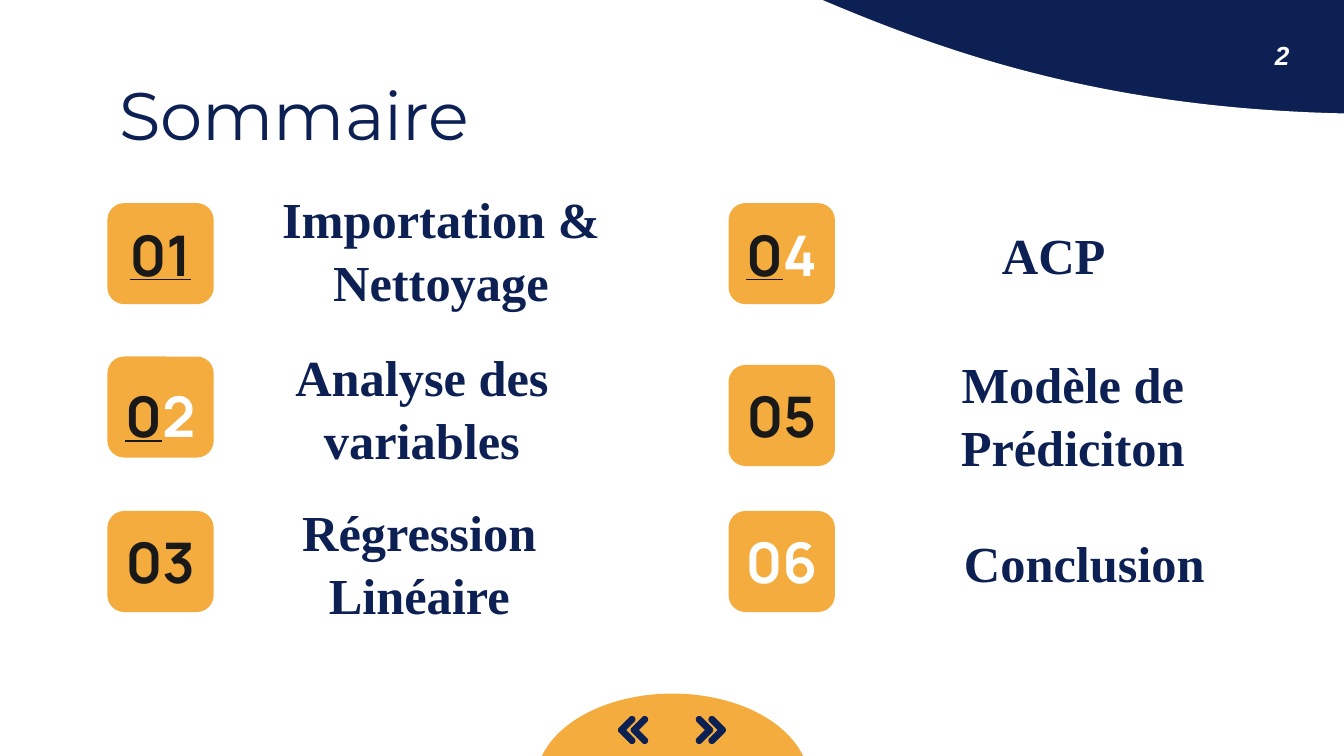
from dataclasses import dataclass
from math import cos, radians, sin

from lxml.etree import _Element as Element
from pptx import Presentation
from pptx.dml.color import RGBColor
from pptx.enum.shapes import MSO_SHAPE as Preset
from pptx.enum.text import MSO_ANCHOR as Anchor, PP_ALIGN as Align
from pptx.util import Cm, Pt

COLORS = {"navy": "0C2054", "amber": "F3AC3D", "ink": "191919", "white": "FFFFFF"}
BADGE_W, BADGE_H, BADGE_RADIUS = 2.01, 1.91, 0.167
TEXT_H, LABEL_W, NUMBER_W = 1.47, 7.47, 2.08
COLUMN_X = (2.03, 13.77)
NUMBER_Y = (4.06, 7.11, 9.88)
CHEVRON_MID_Y, CHEVRON_ARM, CHEVRON_RADIUS = 13.8, 0.2, 0.065


@dataclass(frozen=True)
class Digits:
    text: str
    color: str = "ink"
    underline: bool = False


@dataclass(frozen=True)
class Chapter:
    column: int
    row: int
    badge_y: float
    label: str
    label_x: float
    label_y: float
    number: tuple[Digits, ...]


CHAPTERS = (
    Chapter(0, 0, 3.84, "Importation & Nettoyage", 4.6, 3.96, (Digits("01", underline=True),)),
    Chapter(0, 1, 6.74, "Analyse des variables", 4.24, 6.96,
            (Digits("0", underline=True), Digits("2", "white"))),
    Chapter(0, 2, 9.66, "Régression Linéaire", 4.19, 9.88, (Digits("03"),)),
    Chapter(1, 0, 3.84, "ACP", 16.18, 4.06,
            (Digits("0", underline=True), Digits("4", "white"))),
    Chapter(1, 1, 6.9, "Modèle de Prédiciton", 16.54, 7.09, (Digits("05"),)),
    Chapter(1, 2, 9.66, "Conclusion", 16.76, 9.88, (Digits("06", "white"),)),
)


def rgb(name: str) -> RGBColor:
    return RGBColor.from_string(COLORS[name])


def paint(shape, color: str) -> None:
    shape.shadow.inherit = False
    shape.fill.solid()
    shape.fill.fore_color.rgb = rgb(color)
    shape.line.fill.background()


def add_preset(slide, preset, x: float, y: float, w: float, h: float, color: str,
               adjustments: tuple[float, ...] = (), upside_down: bool = False):
    shape = slide.shapes.add_shape(preset, Cm(x), Cm(y), Cm(w), Cm(h))
    paint(shape, color)
    for index, value in enumerate(adjustments):
        shape.adjustments[index] = value
    if upside_down:
        shape.rotation = 180
        transform: Element = shape.element.spPr.xfrm
        transform.set("flipH", "1")
    return shape


def add_text(slide, text: str | tuple[Digits, ...], *, x: float, y: float, w: float,
             h: float = TEXT_H, font: str, size: float, color: str = "navy",
             bold: bool = False, italic: bool = False, align=Align.CENTER,
             anchor=Anchor.MIDDLE, inset_y: float = 0.25, spacing: float = 1.0) -> None:
    frame = slide.shapes.add_textbox(Cm(x), Cm(y), Cm(w), Cm(h)).text_frame
    frame.word_wrap = True
    frame.vertical_anchor = anchor
    frame.margin_left = frame.margin_right = Cm(0.25)
    frame.margin_top = frame.margin_bottom = Cm(inset_y)
    paragraph = frame.paragraphs[0]
    paragraph.alignment = align
    paragraph.line_spacing = spacing
    for part in (Digits(text, color),) if isinstance(text, str) else text:
        run = paragraph.add_run()
        run.text = part.text
        run.font.name = font
        run.font.size = Pt(size)
        run.font.bold = bold
        run.font.italic = italic
        run.font.underline = part.underline
        run.font.color.rgb = rgb(part.color)


def add_chapter(slide, chapter: Chapter) -> None:
    x = COLUMN_X[chapter.column]
    add_preset(slide, Preset.ROUNDED_RECTANGLE, x, chapter.badge_y, BADGE_W, BADGE_H,
               "amber", (BADGE_RADIUS,))
    add_text(slide, chapter.number, x=x - 0.04, y=NUMBER_Y[chapter.row], w=NUMBER_W,
             font="Manrope", size=30, bold=True)
    add_text(slide, chapter.label, x=chapter.label_x, y=chapter.label_y, w=LABEL_W,
             font="Times New Roman", size=27, bold=True, spacing=1.04)


def add_chevron(slide, tip_x: float, direction: int) -> None:
    def arc(back: float, drop: float, start: int, end: int) -> list[tuple[float, float]]:
        return [(tip_x + direction * (CHEVRON_RADIUS * (cos(radians(a)) - 1) - back),
                 CHEVRON_MID_Y + drop + CHEVRON_RADIUS * sin(radians(a)))
                for a in range(start, end - 1, -15)]

    notch = (tip_x - direction * CHEVRON_RADIUS * (1 + 2 ** 0.5), CHEVRON_MID_Y)
    outline = (arc(CHEVRON_ARM, -CHEVRON_ARM, -45, -225) + [notch]
               + arc(CHEVRON_ARM, CHEVRON_ARM, 225, 45) + arc(0, 0, 45, -45))
    points = [(Cm(px), Cm(py)) for px, py in outline]
    builder = slide.shapes.build_freeform(*points[0])
    builder.add_line_segments(points[1:], close=True)
    paint(builder.convert_to_shape(), "navy")


def main() -> None:
    deck = Presentation()
    deck.slide_width, deck.slide_height = Cm(25.4), Cm(14.29)
    slide = deck.slides.add_slide(deck.slide_layouts[6])
    slide.background.fill.solid()
    slide.background.fill.fore_color.rgb = rgb("navy")

    add_preset(slide, Preset.FLOWCHART_DOCUMENT, -0.71, -2.97, 26.85, 25.86, "white",
               upside_down=True)
    add_text(slide, "Sommaire", x=2.0, y=1.47, w=21.41, h=1.35,
             font="Montserrat", size=36, align=Align.LEFT)
    for chapter in CHAPTERS:
        add_chapter(slide, chapter)

    add_preset(slide, Preset.PIE, 10.13, 13.11, 5.16, 3.33, "amber", (0, 108.31),
               upside_down=True)
    for tip_x, direction in ((11.68, -1), (11.92, -1), (13.48, 1), (13.72, 1)):
        add_chevron(slide, tip_x, direction)
    add_text(slide, "2", x=23.72, y=0.61, w=1.02, h=0.86, font="Arial", size=14,
             color="white", bold=True, italic=True, anchor=Anchor.TOP, inset_y=0.13)
    deck.save("out.pptx")


if __name__ == "__main__":
    main()
